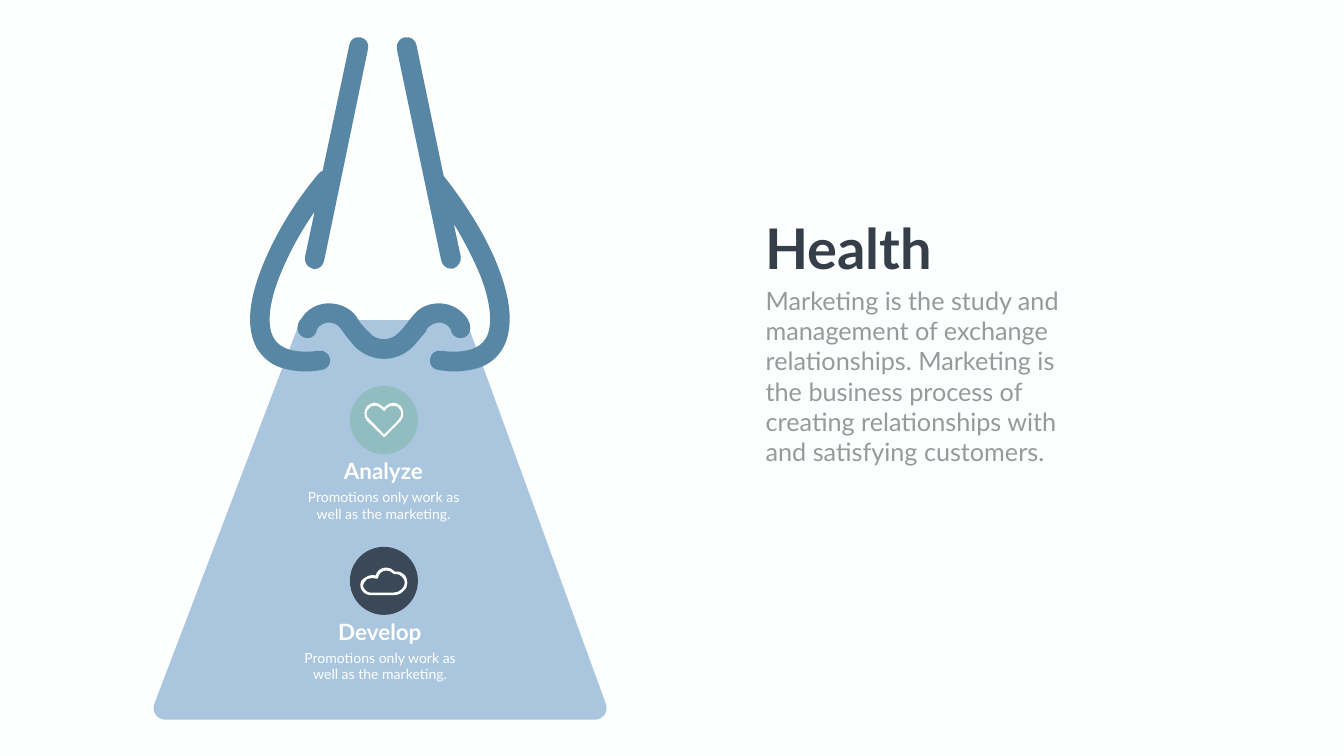
from lxml.etree import SubElement
from pptx import Presentation
from pptx.dml.color import RGBColor
from pptx.enum.shapes import MSO_SHAPE
from pptx.enum.text import MSO_AUTO_SIZE, PP_ALIGN
from pptx.oxml.ns import qn
from pptx.util import Inches, Pt

COLORS = {
    "background": "FDFFFE", "bag": "95B8D6", "rope": "5887A5",
    "analyze": "91BCC0", "develop": "3A4857", "label": "FFFFFF",
    "title": "353E49", "body": "989A98",
}
COLUMNS, ROWS = 26.66, 15  # grid cells of one inch

# Each contour is a start point, then (x, y) lines and
# (x1, y1, x2, y2, x, y) Bézier curves, in columns and rows.
BAG = [[
    (9.09, 6.35), (6.13, 6.35), (6.03, 6.35, 5.94, 6.41, 5.91, 6.49),
    (3.06, 13.97), (3.01, 14.12, 3.12, 14.28, 3.28, 14.28),
    (11.8, 14.28), (11.97, 14.28, 12.07, 14.12, 12.02, 13.97),
    (9.3, 6.5), (9.27, 6.41, 9.19, 6.35, 9.09, 6.35),
]]
LEFT_HANDLE = [[
    (6.32, 6.96), (5.86, 7.02, 5.56, 6.93, 5.43, 6.71),
    (5.29, 6.46, 5.33, 6.02, 5.55, 5.47), (5.71, 5.07, 5.94, 4.63, 6.24, 4.2),
    (6.05, 5.1), (6.03, 5.21, 6.1, 5.3, 6.2, 5.33),
    (6.22, 5.34, 6.23, 5.34, 6.24, 5.34), (6.33, 5.34, 6.41, 5.27, 6.43, 5.17),
    (7.3, 0.97), (7.33, 0.87, 7.26, 0.76, 7.15, 0.74),
    (7.05, 0.72, 6.95, 0.78, 6.93, 0.89), (6.4, 3.39),
    (6.37, 3.4, 6.32, 3.43, 6.3, 3.47), (5.8, 4.07, 5.42, 4.73, 5.19, 5.32),
    (4.92, 6, 4.89, 6.53, 5.09, 6.9), (5.2, 7.08, 5.36, 7.23, 5.59, 7.3),
    (5.72, 7.34, 5.88, 7.37, 6.06, 7.37), (6.16, 7.37, 6.27, 7.36, 6.38, 7.34),
    (6.48, 7.33, 6.56, 7.24, 6.55, 7.13), (6.53, 7.02, 6.43, 6.94, 6.32, 6.96),
]]
RIGHT_HANDLE = [[
    (9.89, 5.32), (9.67, 4.74, 9.28, 4.1, 8.8, 3.49), (8.26, 0.89),
    (8.24, 0.78, 8.13, 0.72, 8.02, 0.74), (7.93, 0.76, 7.85, 0.87, 7.87, 0.97),
    (8.75, 5.16), (8.77, 5.26, 8.85, 5.33, 8.94, 5.33),
    (8.95, 5.33, 8.96, 5.33, 8.99, 5.33), (9.08, 5.29, 9.16, 5.2, 9.14, 5.09),
    (9, 4.44), (9.22, 4.8, 9.39, 5.14, 9.53, 5.47),
    (9.74, 6.02, 9.78, 6.46, 9.64, 6.71), (9.51, 6.93, 9.21, 7.02, 8.75, 6.96),
    (8.64, 6.94, 8.54, 7.02, 8.53, 7.13), (8.51, 7.24, 8.59, 7.33, 8.69, 7.34),
    (8.81, 7.36, 8.91, 7.37, 9.01, 7.37), (9.19, 7.37, 9.35, 7.34, 9.49, 7.3),
    (9.71, 7.23, 9.88, 7.08, 9.98, 6.9), (10.18, 6.53, 10.15, 6, 9.89, 5.32),
]]
RIM = [[
    (8.72, 6.4), (8.8, 6.4, 8.89, 6.45, 8.93, 6.52), (8.94, 6.53),
    (8.95, 6.63, 9.03, 6.71, 9.14, 6.71), (9.25, 6.71, 9.33, 6.62, 9.33, 6.51),
    (9.33, 6.45, 9.31, 6.38, 9.27, 6.32), (9.15, 6.14, 8.95, 6.03, 8.74, 6.02),
    (8.51, 6.01, 8.31, 6.1, 8.18, 6.28), (8.12, 6.35),
    (8.06, 6.44, 7.99, 6.52, 7.91, 6.6), (7.83, 6.69, 7.72, 6.73, 7.62, 6.73),
    (7.51, 6.73, 7.4, 6.69, 7.33, 6.6), (7.24, 6.52, 7.17, 6.44, 7.11, 6.35),
    (7.07, 6.28), (6.93, 6.1, 6.72, 6.01, 6.49, 6.02),
    (6.28, 6.03, 6.09, 6.14, 5.98, 6.32), (5.92, 6.38, 5.9, 6.45, 5.9, 6.51),
    (5.9, 6.62, 5.99, 6.71, 6.1, 6.71), (6.2, 6.71, 6.28, 6.63, 6.29, 6.53),
    (6.3, 6.52), (6.34, 6.45, 6.43, 6.4, 6.52, 6.4),
    (6.61, 6.4, 6.7, 6.44, 6.75, 6.51), (6.81, 6.59),
    (6.87, 6.68, 6.95, 6.77, 7.04, 6.88), (7.2, 7.03, 7.4, 7.12, 7.62, 7.12),
    (7.83, 7.12, 8.04, 7.03, 8.19, 6.88), (8.29, 6.77, 8.36, 6.68, 8.44, 6.59),
    (8.48, 6.51), (8.55, 6.44, 8.63, 6.4, 8.72, 6.4),
]]
HEART = [
    [(7.62, 8.68), (7.6, 8.66), (7.28, 8.35),
     (7.25, 8.32, 7.23, 8.26, 7.23, 8.21), (7.23, 8.14, 7.25, 8.1, 7.28, 8.06),
     (7.33, 8.02, 7.38, 7.99, 7.43, 7.99), (7.49, 7.99, 7.54, 8.02, 7.58, 8.06),
     (7.62, 8.09), (7.65, 8.06), (7.69, 8.02, 7.75, 7.99, 7.8, 7.99),
     (7.85, 7.99, 7.91, 8.02, 7.95, 8.06), (7.98, 8.1, 8, 8.14, 8, 8.21),
     (8, 8.26, 7.98, 8.32, 7.95, 8.35), (7.64, 8.66)],
    [(7.38, 8.37), (7.62, 8.62), (7.87, 8.37), (7.91, 8.32),
     (7.94, 8.29, 7.96, 8.25, 7.96, 8.21), (7.96, 8.17, 7.94, 8.12, 7.91, 8.09),
     (7.89, 8.06, 7.84, 8.05, 7.8, 8.05), (7.76, 8.05, 7.71, 8.06, 7.68, 8.09),
     (7.64, 8.14), (7.62, 8.16), (7.6, 8.14), (7.55, 8.09),
     (7.52, 8.06, 7.48, 8.05, 7.43, 8.05), (7.39, 8.05, 7.35, 8.06, 7.33, 8.09),
     (7.29, 8.12, 7.27, 8.17, 7.27, 8.21), (7.27, 8.25, 7.29, 8.29, 7.33, 8.32)],
]
CLOUD = [
    [(7.79, 11.81), (7.37, 11.81), (7.28, 11.81, 7.21, 11.77, 7.17, 11.7),
     (7.14, 11.65, 7.14, 11.57, 7.17, 11.52), (7.19, 11.49, 7.23, 11.47, 7.26, 11.45),
     (7.3, 11.42, 7.35, 11.41, 7.4, 11.41), (7.45, 11.42),
     (7.47, 11.33, 7.56, 11.26, 7.66, 11.26), (7.72, 11.26, 7.79, 11.29, 7.83, 11.34),
     (7.85, 11.34), (7.93, 11.34, 7.98, 11.36, 8.03, 11.41),
     (8.06, 11.45, 8.08, 11.5, 8.08, 11.56), (8.08, 11.63, 8.06, 11.68, 8, 11.73),
     (7.96, 11.78, 7.89, 11.81, 7.79, 11.81)],
    [(7.4, 11.47), (7.36, 11.47, 7.31, 11.48, 7.28, 11.49),
     (7.26, 11.51, 7.24, 11.52, 7.23, 11.55), (7.19, 11.59, 7.19, 11.64, 7.22, 11.68),
     (7.25, 11.73, 7.3, 11.76, 7.37, 11.76), (7.79, 11.76),
     (7.86, 11.76, 7.93, 11.74, 7.97, 11.69), (8, 11.66, 8.03, 11.61, 8.03, 11.56),
     (8.03, 11.52, 8.01, 11.48, 7.98, 11.45), (7.95, 11.41, 7.91, 11.39, 7.85, 11.39),
     (7.82, 11.39), (7.8, 11.38), (7.77, 11.34, 7.71, 11.32, 7.66, 11.32),
     (7.58, 11.32, 7.51, 11.38, 7.5, 11.46), (7.49, 11.48), (7.46, 11.48),
     (7.44, 11.48, 7.42, 11.47, 7.4, 11.47)],
]


def bend(shape, segments):
    """Turn the straight segments that have control points into Bézier curves."""
    lines = list(shape._element.iter(qn("a:lnTo")))
    for line, (*controls, _, _) in zip(lines, segments):
        if controls:
            line.tag = qn("a:cubicBezTo")
            for index in (0, 2):
                x, y = (Inches(length) for length in controls[index:index + 2])
                point = SubElement(line, qn("a:pt"), x=str(x - shape.left), y=str(y - shape.top))
                line.insert(index // 2, point)


class Canvas:
    def __init__(self, slide, font="Lato"):
        self.slide, self.font = slide, font
        slide.background.fill.solid()
        slide.background.fill.fore_color.rgb = self.rgb("background")

    @staticmethod
    def rgb(color):
        return RGBColor.from_string(COLORS[color])

    def paint(self, shape, color, opacity=100):
        shape.shadow.inherit = False
        shape.line.fill.background()
        shape.fill.solid()
        shape.fill.fore_color.rgb = self.rgb(color)
        if opacity < 100:
            tint = shape.fill._xPr.find(qn("a:solidFill"))[0]
            SubElement(tint, qn("a:alpha"), val=str(opacity * 1000))

    def outline(self, contours, color, opacity=100):
        anchors = [[(Inches(segment[-2]), Inches(segment[-1])) for segment in contour]
                   for contour in contours]
        builder = self.slide.shapes.build_freeform(*anchors[0][0], scale=1.0)
        for index, (start, *ends) in enumerate(anchors):
            if index:
                builder.move_to(*start)
            builder.add_line_segments(ends, close=True)
        shape = builder.convert_to_shape()
        bend(shape, [segment for contour in contours for segment in contour[1:]])
        self.paint(shape, color, opacity)

    def disc(self, column, row, size, color):
        box = [Inches(length) for length in (column, row, size, size)]
        self.paint(self.slide.shapes.add_shape(MSO_SHAPE.OVAL, *box), color)

    def text(self, words, column, row, width, height, *, size, color,
             bold=False, align=PP_ALIGN.LEFT, wrap=True):
        box = [Inches(length) for length in (column, row, width, height)]
        frame = self.slide.shapes.add_textbox(*box).text_frame
        frame.word_wrap = wrap
        frame.auto_size = MSO_AUTO_SIZE.SHAPE_TO_FIT_TEXT
        paragraph = frame.paragraphs[0]
        paragraph.alignment = align
        run = paragraph.add_run()
        run.text = words
        run.font.name, run.font.size, run.font.bold = self.font, Pt(size), bold
        run.font.color.rgb = self.rgb(color)


def main():
    deck = Presentation()
    deck.slide_width, deck.slide_height = Inches(COLUMNS), Inches(ROWS)
    canvas = Canvas(deck.slides.add_slide(deck.slide_layouts[6]))

    canvas.outline(BAG, "bag", opacity=80)
    for rope in (LEFT_HANDLE, RIGHT_HANDLE, RIM):
        canvas.outline(rope, "rope")

    steps = [("Analyze", "analyze", HEART, 7.61), ("Develop", "develop", CLOUD, 7.54)]
    for index, (heading, disc_color, icon, center) in enumerate(steps):
        top = 7.66 + 3.19 * index
        canvas.disc(6.94, top, 1.35, disc_color)
        canvas.outline(icon, "background")
        canvas.text(heading, center - 1.31, top + 1.37, 2.61, 0.64,
                    size=32, color="label", bold=True, align=PP_ALIGN.CENTER)
        canvas.text("Promotions only work as well as the marketing.",
                    center - 1.75, top + 1.98, 3.5, 0.77,
                    size=20, color="label", align=PP_ALIGN.CENTER)

    canvas.text("Health", 15.08, 4.19, 3.59, 1.45,
                size=80, color="title", bold=True, wrap=False)
    canvas.text("Marketing is the study and management of exchange relationships. "
                "Marketing is the business process of creating relationships with "
                "and satisfying customers.",
                15.09, 5.61, 6.54, 3.74, size=36, color="body")
    deck.save("out.pptx")


if __name__ == "__main__":
    main()
